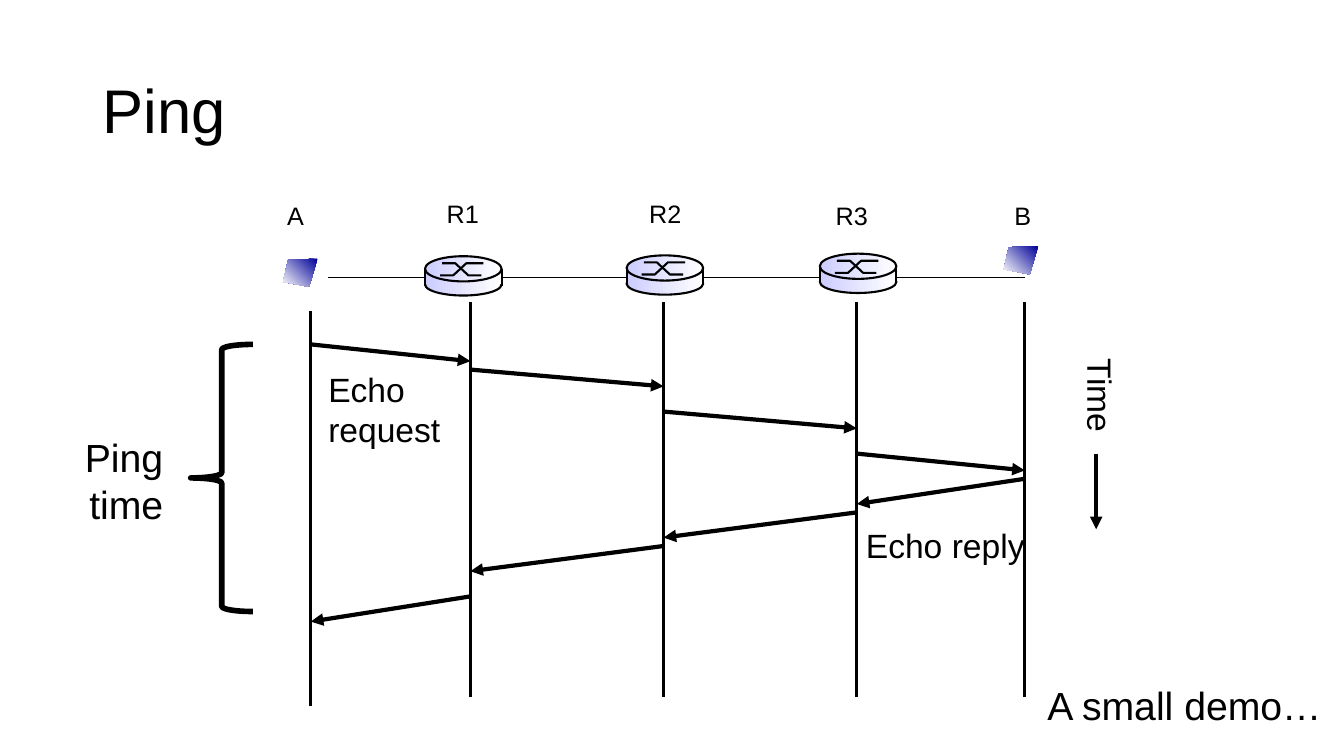
from itertools import pairwise

from lxml import etree
from pptx import Presentation
from pptx import util as u
from pptx.dml.color import RGBColor
from pptx.enum import shapes, text
from pptx.oxml.ns import qn

COLS, ROWS = 160, 90
CELL = u.Inches(1) // 12
FONT = "Arial"
HEX = {"ink": "000000", "pale": "CCCCFF", "white": "FFFFFF", "navy": "000099"}

# Columns of the five time lines: A, R1, R2, R3, B
LANES = [37, 56, 79, 102, 122]
ASK_ROWS = [41, 44, 49, 54]
REPLY_ROWS = [57, 61, 65, 71]
ASK_DROP, REPLY_DROP = 2, 3


def cells(*nums):
    """Turn grid cells into slide lengths."""
    return [u.Emu(round(n * CELL)) for n in nums]


def color(name):
    return RGBColor.from_string(HEX[name])


def ink(shape, width):
    shape.line.color.rgb = color("ink")
    shape.line.width = u.Pt(width)


def blend(shape, first, last, angle):
    shape.fill.gradient()
    shape.fill.gradient_angle = angle
    for stop, name in zip(shape.fill.gradient_stops, (first, last)):
        stop.color.rgb = color(name)


def add_line(parent, start, end, width, arrow=False):
    line = parent.add_connector(shapes.MSO_CONNECTOR.STRAIGHT, *cells(*start, *end))
    ink(line, width)
    if arrow:
        tip = etree.SubElement(line.line._get_or_add_ln(), qn("a:tailEnd"))
        tip.set("type", "triangle")
    etree.SubElement(line._element.spPr, qn("a:effectLst"))


def add_form(parent, left, top, points, close):
    spots = [cells(left + x, top + y) for x, y in points]
    pen = parent.build_freeform(*spots[0])
    pen.add_line_segments(spots[1:], close=close)
    form = pen.convert_to_shape()
    form.shadow.inherit = False
    return form


def write(frame, lines, size, align=text.PP_ALIGN.LEFT):
    for i, words in enumerate(lines):
        para = frame.add_paragraph() if i else frame.paragraphs[0]
        para.alignment = align
        run = para.add_run()
        run.text = words
        run.font.size = u.Pt(size)
        run.font.name = FONT
        run.font.color.rgb = color("ink")


def add_label(parent, box, lines, size, wrap=True, **style):
    label = parent.add_textbox(*cells(*box))
    label.text_frame.word_wrap = wrap
    label.text_frame.auto_size = text.MSO_AUTO_SIZE.SHAPE_TO_FIT_TEXT
    write(label.text_frame, lines, size, **style)
    return label


def add_router(parent, left, top):
    group = parent.add_group_shape().shapes
    wide = 9.12
    oval, rect = shapes.MSO_SHAPE.OVAL, shapes.MSO_SHAPE.RECTANGLE
    for kind, drop, high in ((oval, 2.04, 2.64), (rect, 1.8, 1.56), (oval, 0, 3)):
        part = group.add_shape(kind, *cells(left, top + drop, wide, high))
        part.shadow.inherit = False
        blend(part, "pale", "white", 0)
        if kind == oval:
            ink(part, 1.5)
        else:
            part.line.fill.background()
    high, low = 0.84, 2.28
    for points in (
        [(1.8, low), (3.36, low), (4.92, high), (6.96, high)],
        [(2.04, high), (3.6, high), (5.16, low), (6.72, low)],
    ):
        cross = add_form(group, left, top, points, close=False)
        cross.fill.background()
        ink(cross, 1.5)
    for x in (left, left + wide):
        add_line(group, (x, top + 1.5), (x, top + 3.54), 1.5)


def add_host(parent, left, top):
    points = [(4.1, 0), (0.6, 0.12), (0, 2.76), (3.1, 3.36)]
    host = add_form(parent, left, top, points, close=True)
    blend(host, "navy", "white", 225)
    host.line.fill.background()


def set_title(title, words):
    title.left, title.top, title.width, title.height = cells(11, 4.8, 138, 17.4)
    frame = title.text_frame
    frame.vertical_anchor = text.MSO_ANCHOR.MIDDLE
    frame.auto_size = text.MSO_AUTO_SIZE.NONE
    write(frame, [words], 44)
    frame.paragraphs[0].line_spacing = 0.9


def add_hops(parent):
    """Draw the request hops to the right and the reply hops back."""
    ways = ((LANES, ASK_ROWS, ASK_DROP), (LANES[::-1], REPLY_ROWS, REPLY_DROP))
    for lanes, rows, drop in ways:
        for (start, end), row in zip(pairwise(lanes), rows):
            add_line(parent, (start, row), (end, row + drop), 3, arrow=True)


def main():
    deck = Presentation()
    deck.slide_width, deck.slide_height = cells(COLS, ROWS)
    slide = deck.slides.add_slide(deck.slide_layouts[5])
    items = slide.shapes
    set_title(items.title, "Ping")

    add_line(items, (39, 33), (122, 33), 1)
    for i, lane in enumerate(LANES):
        top = 36 if i else 37
        add_line(items, (lane, top), (lane, top + 47), 2)

    time = add_label(items, (125.4, 44.2, 11.3, 6), ["Time"], 24, wrap=False)
    time.rotation = 90
    add_line(items, (130.5, 54), (130.5, 63), 3, arrow=True)

    add_hops(items)
    add_label(items, (37.9, 43.3, 16, 10.9), ["Echo", "request"], 24, wrap=False)
    add_label(items, (101.9, 61.9, 21.5, 6), ["Echo reply"], 24, wrap=False)

    for left, top in ((50.6, 30.5), (74.6, 30.4), (97.6, 30.2)):
        add_router(items, left, top)
    for left, top in ((33.7, 30.8), (119.5, 29.3)):
        add_host(items, left, top)

    for name, left, top, wide in (
        ("A", 33, 23.2, 6),
        ("B", 119.6, 23.2, 6),
        ("R1", 52, 23, 7.7),
        ("R2", 76.1, 23, 7.7),
        ("R3", 98.3, 23.2, 7.7),
    ):
        add_label(items, (left, top, wide, 4.8), [name], 18)

    brace = items.add_shape(shapes.MSO_SHAPE.LEFT_BRACE, *cells(22.7, 41, 7.4, 31.8))
    brace.shadow.inherit = False
    brace.fill.background()
    ink(brace, 4)
    right = text.PP_ALIGN.RIGHT
    add_label(items, (3.4, 51, 17.2, 12.5), ["Ping time"], 28, align=right)
    add_label(items, (123.5, 80.5, 36.2, 6.8), ["A small demo…"], 28)

    deck.save("out.pptx")


if __name__ == "__main__":
    main()
